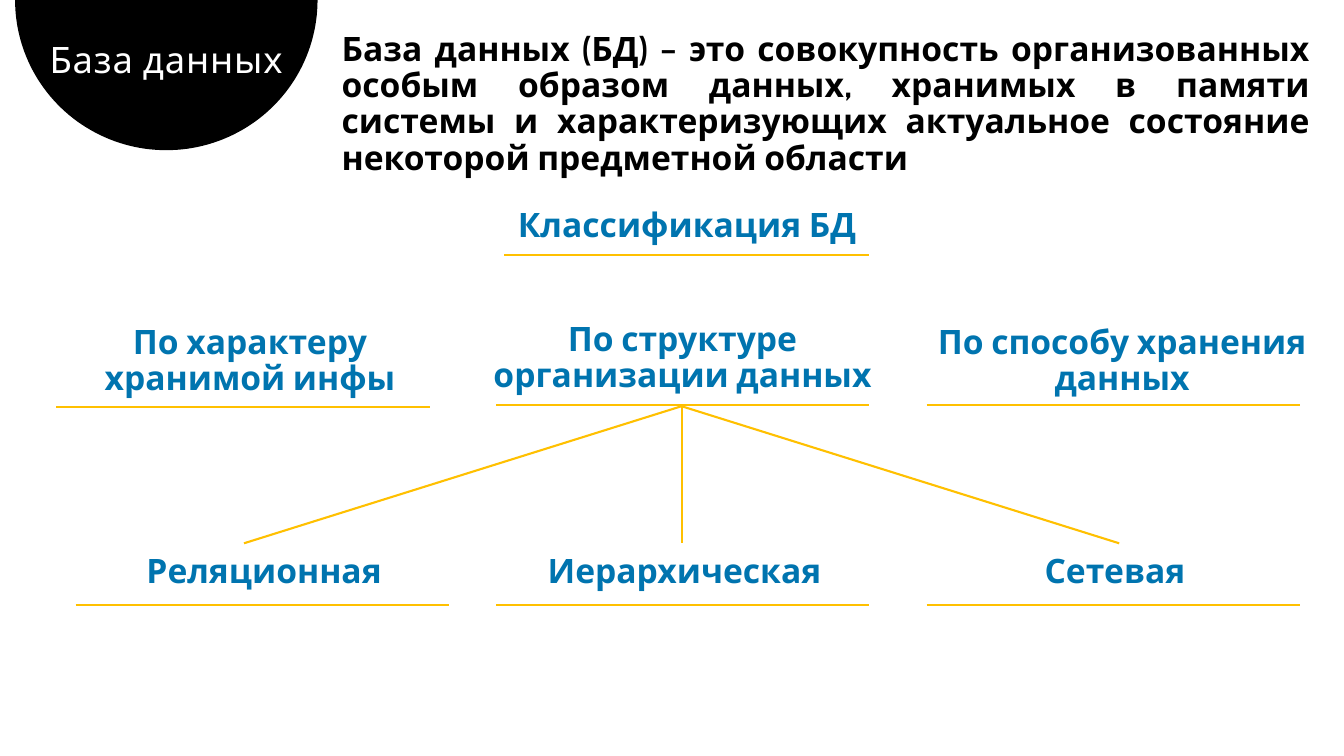
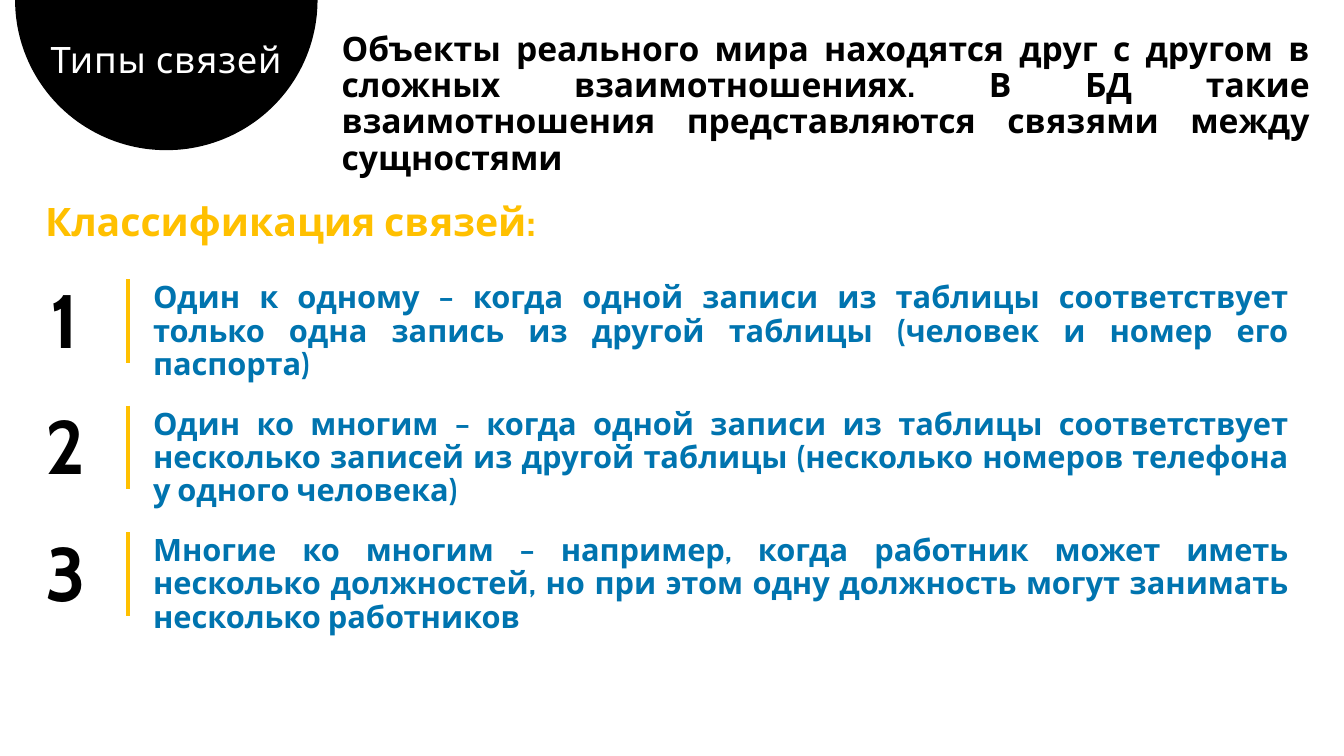
import math
import pptx
import pptx.util
import pptx.dml.color
import pptx.enum.shapes
import pptx.enum.text
import lxml.etree

Inches = pptx.util.Inches
RGBColor = pptx.dml.color.RGBColor
ALIGN = pptx.enum.text.PP_ALIGN

BLACK = RGBColor(0x00, 0x00, 0x00)
WHITE = RGBColor(0xFF, 0xFF, 0xFF)
BLUE = RGBColor(0x00, 0x74, 0xAF)
GOLD = RGBColor(0xFF, 0xC0, 0x00)
FONT = "Cabin"


def write(slide, text, box, size, color, align, bold=True):
    """Add a text box with one paragraph and return the paragraph."""
    frame = slide.shapes.add_textbox(*[Inches(v) for v in box]).text_frame
    frame.word_wrap = True
    para = frame.paragraphs[0]
    para.text = text
    para.alignment = align
    para.line_spacing = 0.9
    para.font.name = FONT
    para.font.size = pptx.util.Pt(size)
    para.font.bold = bold
    para.font.color.rgb = color
    return para


def rule(slide, start, end, width=1.5):
    """Draw a straight gold line."""
    kind = pptx.enum.shapes.MSO_CONNECTOR.STRAIGHT
    line = slide.shapes.add_connector(kind, *[Inches(v) for v in start + end])
    line.line.color.rgb = GOLD
    line.line.width = pptx.util.Pt(width)
    lxml.etree.SubElement(line._element.spPr, pptx.oxml.ns.qn("a:effectLst"))


deck = pptx.Presentation()
deck.slide_width = Inches(13.33)
deck.slide_height = Inches(7.5)

# Shared head: black half disc, title and lead text
heads = [
    ("База данных",
     "База данных (БД) – это совокупность организованных особым образом данных, "
     "хранимых в памяти системы и характеризующих актуальное состояние "
     "некоторой предметной области"),
    ("Типы связей",
     "Объекты реального мира находятся друг с другом в сложных взаимотношениях. "
     "В БД такие взаимотношения представляются связями между сущностями"),
]
arc = [(Inches(1.65 + 1.5 * math.cos(math.radians(a))),
        Inches(1.49 * math.sin(math.radians(a)))) for a in range(0, 181, 2)]
slides = []
for title, lead in heads:
    slide = deck.slides.add_slide(deck.slide_layouts[6])
    pen = slide.shapes.build_freeform(*arc[0])
    pen.add_line_segments(arc[1:], close=True)
    disc = pen.convert_to_shape()
    disc.shadow.inherit = False
    disc.fill.solid()
    disc.fill.fore_color.rgb = BLACK
    disc.line.fill.background()
    para = write(slide, title, (0.35, 0.37, 2.6, 0.49), 26, WHITE, ALIGN.CENTER, False)
    para.runs[0]._r.get_or_add_rPr().set("spc", "60")
    write(slide, lead, (3.29, 0.27, 9.8, 1.56), 24, BLACK, ALIGN.JUSTIFY)
    slides.append(slide)
tree, links = slides

# Slide 1: labels, each with a line below
# text, left, top, width, height, line left, line top, line length
nodes = [
    ("Классификация БД", 4.83, 2.02, 3.97, 0.46, 5, 2.53, 3.62),
    ("По характеру хранимой инфы", 0.45, 3.18, 4.06, 0.83, 0.56, 4.04, 3.7),
    ("По структуре организации данных", 4.74, 3.15, 4.06, 0.83, 4.92, 4.02, 3.7),
    ("По способу хранения данных", 9.03, 3.18, 4.2, 0.83, 9.19, 4.02, 3.7),
    ("Реляционная", 0.59, 5.45, 4.06, 0.46, 0.75, 6, 3.7),
    ("Иерархическая", 4.76, 5.45, 4.06, 0.46, 4.92, 6, 3.7),
    ("Сетевая", 9.03, 5.45, 4.06, 0.46, 9.19, 6, 3.7),
]
for text, *box, left, top, span in nodes:
    write(tree, text, box, 24, BLUE, ALIGN.CENTER)
    rule(tree, (left, top), (left + span, top))

# Slide 1: branches from the middle label
for x in (2.42, 6.76, 11.1):
    rule(tree, (6.76, 4.03), (x, 5.39))

# Slide 2: numbered list
write(links, "Классификация связей:", (0.35, 1.96, 5.73, 0.53), 28, GOLD, ALIGN.JUSTIFY)
items = [
    "Один к одному – когда одной записи из таблицы соответствует только одна "
    "запись из другой таблицы (человек и номер его паспорта)",
    "Один ко многим – когда одной записи из таблицы соответствует несколько "
    "записей из другой таблицы (несколько номеров телефона у одного человека)",
    "Многие ко многим – например, когда работник может иметь несколько должностей, "
    "но при этом одну должность могут занимать несколько работников",
]
for i, text in enumerate(items):
    top = 2.75 + 1.255 * i
    write(links, str(i + 1), (0.35, top + 0.01, 0.57, 0.8), 54, BLACK, ALIGN.CENTER)
    rule(links, (1.27, top + 0.02), (1.27, top + 0.85), 3)
    write(links, text, (1.42, top, 11.46, 0.82), 22, BLUE, ALIGN.JUSTIFY)

deck.save("out.pptx")
